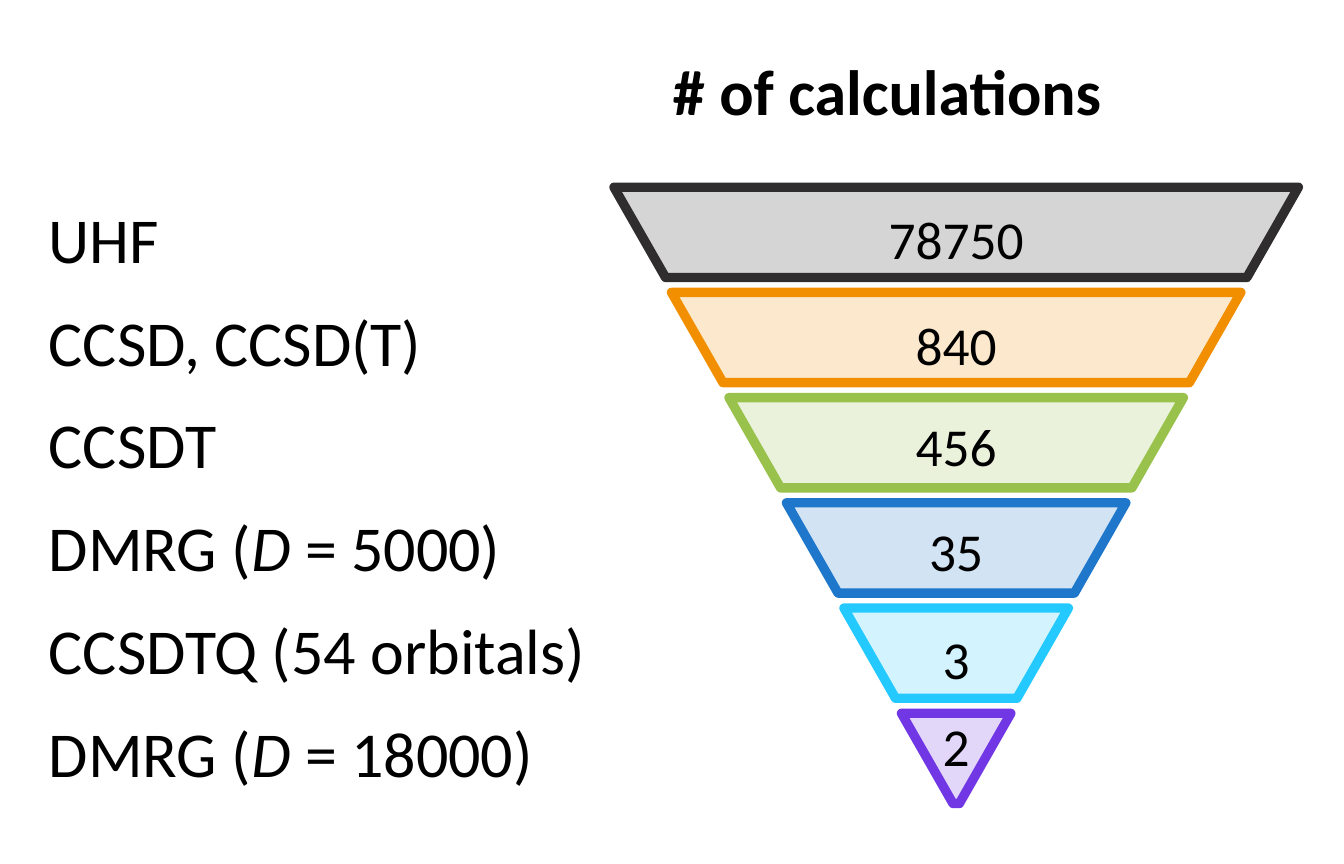
from lxml import etree
from pptx import Presentation
from pptx.dml.color import RGBColor
from pptx.enum.shapes import MSO_SHAPE
from pptx.enum.text import MSO_ANCHOR, MSO_AUTO_SIZE, PP_ALIGN
from pptx.oxml.ns import qn
from pptx.util import Inches, Pt

TRAP = MSO_SHAPE.TRAPEZOID
TOP = MSO_ANCHOR.TOP
FIXED = MSO_AUTO_SIZE.NONE
LEFT, MID = PP_ALIGN.LEFT, PP_ALIGN.CENTER

HUES = {
    "text": "000000", "coal": "2F2D2E", "gold": "F18F01", "leaf": "99C24D",
    "blue": "1E77CA", "sky": "23C9FF", "plum": "7137E5",
}
LABEL = {"size": Pt(48), "bold": False}
HEAD = {"size": Pt(48), "bold": True}
COUNT = {"size": Pt(40), "bold": False}

# Label with italics between underscores, count, colour, top of the count
ROWS = [
    ("UHF", "78750", "coal", 2.02),
    ("CCSD, CCSD(T)", "840", "gold", 3.12),
    ("CCSDT", "456", "leaf", 4.17),
    ("DMRG (_D_ = 5000)", "35", "blue", 5.27),
    ("CCSDTQ (54 orbitals)", "3", "sky", 6.39),
    ("DMRG (_D_ = 18000)", "2", "plum", 7.3),
]

# Funnel grid in inches
AXIS = 9.96
BAND_TOP, BAND_STEP, BAND_H = 1.95, 1.096, 0.94
BAND_W, SHRINK = 7.13, 1.198
LABEL_TOP, LABEL_STEP = 1.93, 1.072


def place(x, y, w, h):
    return [Inches(v) for v in (x, y, w, h)]


def write(box, text, look, align=LEFT):
    frame = box.text_frame
    frame.word_wrap = True
    frame.auto_size = FIXED
    frame.vertical_anchor = TOP
    para = frame.paragraphs[0]
    para.alignment = align
    para.line_spacing = 1.12
    for n, part in enumerate(text.split("_")):
        run = para.add_run()
        run.text = part
        run.font.name = "Calibri"
        run.font.color.rgb = RGBColor.from_string(HUES["text"])
        run.font.italic = n % 2 == 1
        for key, val in look.items():
            setattr(run.font, key, val)


deck = Presentation()
deck.slide_width, deck.slide_height = Inches(14), Inches(9)
slide = deck.slides.add_slide(deck.slide_layouts[5])

# Title
title = slide.shapes.title
title.left, title.top, title.width, title.height = place(6.91, 0.39, 5.6, 0.97)
write(title, "# of calculations", HEAD)

# Method labels
for i, (name, *_) in enumerate(ROWS):
    spot = place(0.41, LABEL_TOP + i * LABEL_STEP, 6.78, 0.96)
    write(slide.shapes.add_textbox(*spot), name, LABEL)

# Funnel bands with their counts
funnel = slide.shapes.add_group_shape()
for i, (_, count, hue, top) in enumerate(ROWS):
    wide = BAND_W - i * SHRINK
    spot = place(AXIS - wide / 2, BAND_TOP + i * BAND_STEP, wide, BAND_H)
    band = funnel.shapes.add_shape(TRAP, *spot)
    band.rotation = 180
    band.adjustments[0] = 0.571
    band.shadow.inherit = False
    tint = RGBColor.from_string(HUES[hue])
    band.fill.solid()
    band.fill.fore_color.rgb = tint
    band.line.color.rgb = tint
    band.line.width = Pt(7)
    # Fill at 20 % opacity
    shade = band.element.xpath("./p:spPr/a:solidFill/a:srgbClr")[0]
    etree.SubElement(shade, qn("a:alpha")).set("val", "20000")

    spot = place(AXIS - 1.16, top, 2.32, 0.82)
    write(funnel.shapes.add_textbox(*spot), count, COUNT, MID)

deck.save("out.pptx")
